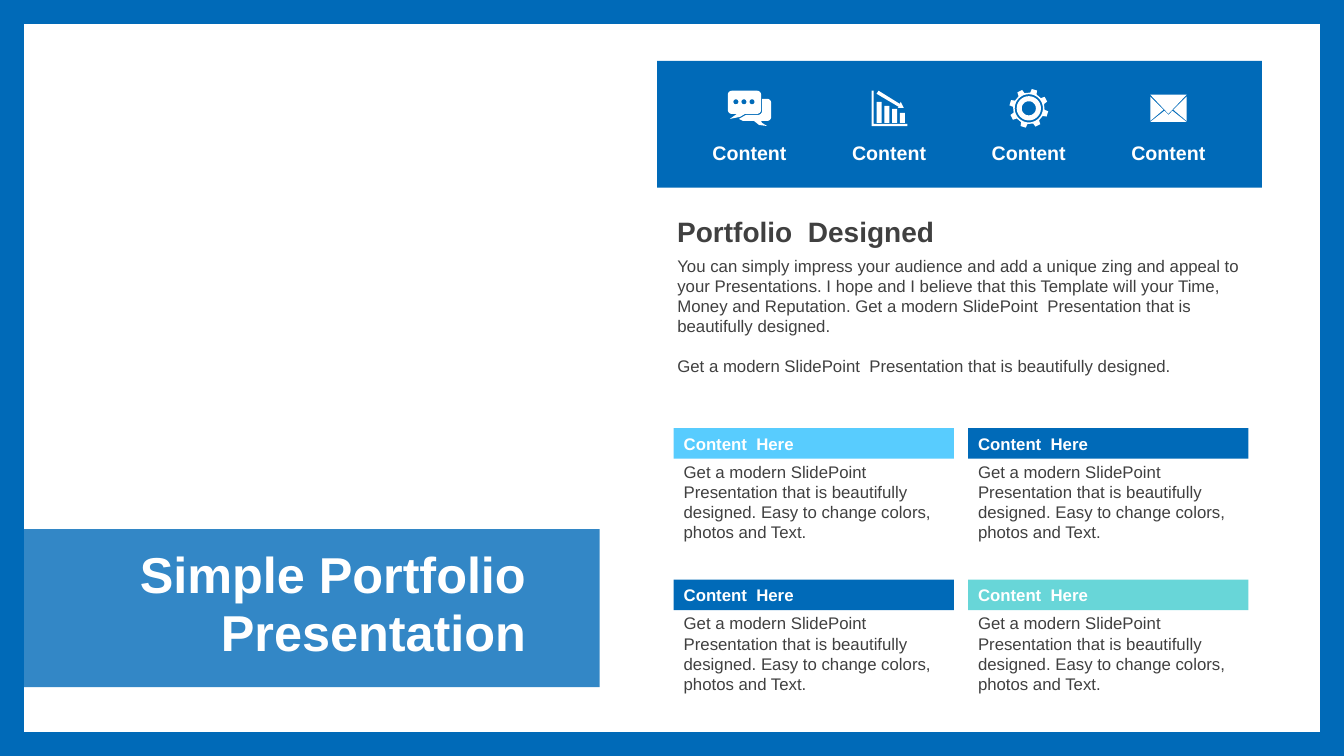
from math import cos, radians, sin

from lxml import etree
from pptx import Presentation
from pptx import util as u
from pptx.dml import color
from pptx.enum import shapes, text
from pptx.oxml import ns

WIDE, HIGH = u.Inches(13.333), u.Inches(7.5)
HUES = {"blue": "006AB8", "sky": "58CCFE", "teal": "68D6D8",
        "white": "FFFFFF", "gray": "404040"}
LEFT, MID, RIGHT = text.PP_ALIGN.LEFT, text.PP_ALIGN.CENTER, text.PP_ALIGN.RIGHT
TOP, HALF = text.MSO_ANCHOR.TOP, text.MSO_ANCHOR.MIDDLE
INTRO = [
    "You can simply impress your audience and add a unique zing and appeal to "
    "your Presentations. I hope and I believe that this Template will your Time, "
    "Money and Reputation. Get a modern SlidePoint  Presentation that is "
    "beautifully designed.",
    "Get a modern SlidePoint  Presentation that is beautifully designed.",
]
NOTE = ("Get a modern SlidePoint  Presentation that is beautifully designed. "
        "Easy to change colors, photos and Text.")


def across(share):
    return round(WIDE * share / 100)


def down(share):
    return round(HIGH * share / 100)


def area(x, y, w, h):
    return across(x), down(y), across(w), down(h)


def paint(shape, hue):
    shape.shadow.inherit = False
    shape.fill.solid()
    shape.fill.fore_color.rgb = color.RGBColor.from_string(HUES[hue])
    shape.line.fill.background()


def block(slide, spot, hue, alpha=None):
    shape = slide.shapes.add_shape(shapes.MSO_SHAPE.RECTANGLE, *area(*spot))
    paint(shape, hue)
    if alpha:
        tint = shape.element.spPr.find(".//" + ns.qn("a:srgbClr"))
        etree.SubElement(tint, ns.qn("a:alpha"), val=str(alpha * 1000))
    return shape


def write(shape, lines, size, hue, bold=False, align=LEFT, anchor=TOP,
          pitch=1.0, gap=0):
    frame = shape.text_frame
    frame.word_wrap = True
    frame.auto_size = text.MSO_AUTO_SIZE.NONE
    frame.vertical_anchor = anchor
    for i, line in enumerate(lines):
        para = frame.add_paragraph() if i else frame.paragraphs[0]
        para.alignment = align
        para.line_spacing = pitch
        para.space_before = u.Pt(gap if i else 0)
        run = para.add_run()
        run.text = line
        run.font.name = "Arial"
        run.font.size = u.Pt(size)
        run.font.bold = bold
        run.font.color.rgb = color.RGBColor.from_string(HUES[hue])


def label(slide, spot, line, *style, **more):
    write(slide.shapes.add_textbox(*area(*spot)), [line], *style, **more)


def holder(shape, spot):
    shape.left, shape.top, shape.width, shape.height = area(*spot)
    shape.element.getparent().append(shape.element)
    return shape


def plain(shape):
    for para in shape.text_frame.paragraphs:
        props = para._p.get_or_add_pPr()
        props.set("marL", "0")
        props.set("indent", "0")
        etree.SubElement(props, ns.qn("a:buNone"))


def arc(x, y, r, start, end, steps=8):
    turns = [radians(start + (end - start) * i / steps) for i in range(steps + 1)]
    return [(x + r * cos(t), y + r * sin(t)) for t in turns]


def chat():
    front = (arc(-17.5, -13.5, 4, 180, 270) + arc(7.5, -13.5, 4, 270, 360)
             + arc(7.5, 1.5, 4, 0, 90)
             + [(-4.5, 5.5), (-9.5, 8.5), (-19.5, 10.5), (-12.5, 5.5)]
             + arc(-17.5, 1.5, 4, 90, 180))
    back = ([(12.5, -9.5)] + arc(17.5, -5.5, 4, 270, 360) + arc(17.5, 8.5, 4, 0, 90)
            + [(11.5, 12.5), (12.5, 14.5), (17.5, 17.5), (9.5, 16.5),
               (4.5, 12.5), (-6.5, 12.5), (-10.5, 10.5), (-3.5, 6.5)]
            + arc(8.5, 2.5, 4, 90, 0))
    dots = [arc(-13.5 + 8 * i, -6.5, 2.5, 360, 0, 24) for i in range(3)]
    return [front, back, *dots]


def graph():
    axis = [(-17.5, -17.5), (-15.5, -17.5), (-15.5, 15.5),
            (18, 15.5), (18, 17.5), (-17.5, 17.5)]
    arrow = [(-10.5, -17.5), (10.5, -4.5), (11.5, -6.5), (14.5, -0.5),
             (8.5, -0.5), (9.5, -1.5), (-12.5, -14.5)]
    bars = []
    for i, top in enumerate((-6.5, -2.5, 0.5, 4.5)):
        x = -12.5 + 7.7 * i
        bars.append([(x, top), (x + 5, top), (x + 5, 14.5), (x, 14.5)])
    return [axis, arrow, *bars]


def gear():
    teeth = []
    for i in range(8):
        for turn, r in ((-12, 15.7), (-8, 19.4), (8, 19.4), (12, 15.7)):
            teeth += arc(0, 0, r, 45 * i - 73 + turn, 0, 1)[:1]
    rings = [arc(0, 0, 14, 360, 0, 48), arc(0, 0, 12, 0, 360, 48),
             arc(0, 0, 7, 360, 0, 48)]
    return [teeth, *rings]


def mail():
    flap = [(-18, -13.5), (18, -13.5), (0, 5.5)]
    sides = [[(s * 18, -11.5), (s * 5, 1.5), (s * 18, 12.5)] for s in (-1, 1)]
    base = [(4, 2.5), (18, 13.5), (-18, 13.5), (-4, 2.5), (0, 6.5)]
    return [flap, *sides, base]


def icon(slide, x, y, loops):
    loops = [[(round(10 * a), round(10 * b)) for a, b in loop] for loop in loops]
    pen = slide.shapes.build_freeform(*loops[0][0], scale=u.Inches(0.001))
    for i, loop in enumerate(loops):
        if i:
            pen.move_to(*loop[0])
        pen.add_line_segments(loop[1:], close=True)
    paint(pen.convert_to_shape(across(x), down(y)), "white")


def border(slide):
    side, edge = 1.78, 3.16
    for spot in ((0, 0, side, 100), (100 - side, 0, side, 100),
                 (0, 0, 100, edge), (0, 100 - edge, 100, edge)):
        block(slide, spot, "blue")


def banner(slide):
    block(slide, (48.9, 8.04, 45, 16.8), "blue")
    for i, draw in enumerate((chat, graph, gear, mail)):
        x = 50.93 + 10.39 * i
        icon(slide, x + 4.84, 14.33, draw())
        label(slide, (x, 18, 9.68, 4.5), "Content", 14, "white",
              bold=True, align=MID, anchor=HALF)


def cards(slide):
    for i, hue in enumerate(("sky", "blue", "blue", "teal")):
        row, col = divmod(i, 2)
        x, y = 50.13 + 21.9 * col, 56.63 + 20.05 * row
        head = block(slide, (x, y, 20.85, 4.04), hue)
        write(head, ["Content  Here"], 12, "white", bold=True, anchor=HALF)
        label(slide, (x, y + 3.77, 20.85, 12.1), NOTE, 12, "gray")


def main():
    deck = Presentation()
    deck.slide_width, deck.slide_height = WIDE, HIGH
    slide = deck.slides.add_slide(deck.slide_layouts[1])
    border(slide)
    banner(slide)
    block(slide, (1.75, 70, 42.87, 20.9), "blue", 80)
    title = holder(slide.shapes.title, (6.2, 72, 33.7, 16.8))
    write(title, ["Simple Portfolio", "Presentation"], 36, "white",
          bold=True, align=RIGHT, anchor=HALF, pitch=0.8, gap=7.2)
    label(slide, (49.65, 27.75, 44.25, 5.2), "Portfolio  Designed", 20, "gray",
          bold=True, anchor=HALF, pitch=1.1)
    body = holder(slide.placeholders[1], (49.65, 33.1, 44.25, 17.5))
    write(body, INTRO, 12, "gray", gap=14.4)
    plain(body)
    cards(slide)
    deck.save("out.pptx")


if __name__ == "__main__":
    main()
